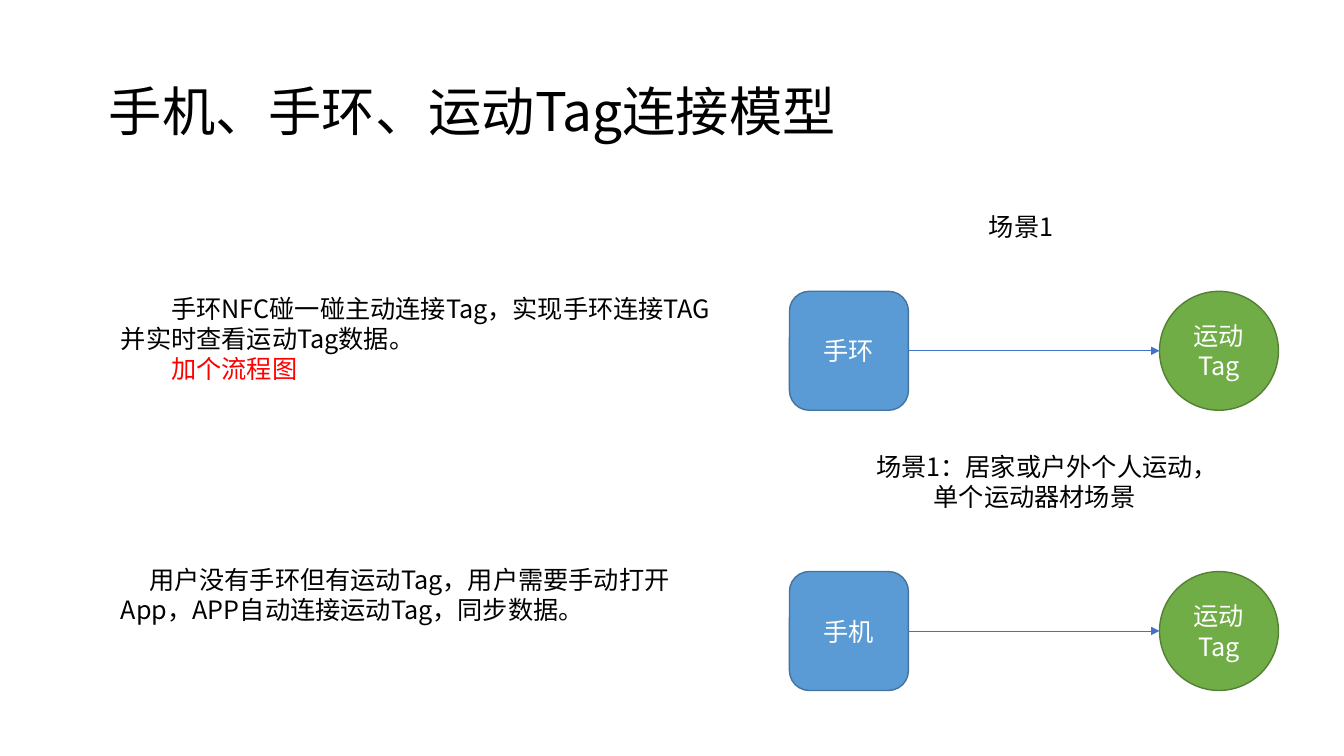
from lxml import etree
from pptx import Presentation, util as u
from pptx.dml.color import RGBColor
from pptx.enum import shapes, text
from pptx.oxml.ns import qn

WIDE, HIGH = 13.33, 7.5
FONT = "Noto Sans CJK SC"
BLACK = RGBColor(0x00, 0x00, 0x00)
WHITE = RGBColor(0xFF, 0xFF, 0xFF)
RED = RGBColor(0xFF, 0x00, 0x00)
BLUE = RGBColor(0x5B, 0x9B, 0xD5)
NAVY = RGBColor(0x43, 0x73, 0x9E)
GREEN = RGBColor(0x70, 0xAD, 0x47)
MOSS = RGBColor(0x53, 0x80, 0x35)
ARROW = RGBColor(0x44, 0x72, 0xC4)

# Grid: text column, device column, tag column; one row per link
LEFT, DEVICE, TAG = 1.1, 7.83, 11.5
ROWS = 2.89, 5.67
NODE = 1.18
BODY = 6.18


def style(para, size, color, align=text.PP_ALIGN.LEFT):
    para.alignment = align
    for run in para.runs:
        run.font.size = u.Pt(size)
        run.font.name = FONT
        run.font.color.rgb = color
        # East Asian glyphs take their own typeface
        asian = etree.SubElement(run.font._element, qn("a:ea"))
        asian.set("typeface", FONT)


def add_title(slide, words):
    title = slide.shapes.title
    title.left, title.top = u.Inches(0.98), u.Inches(0.41)
    title.width, title.height = u.Inches(11.5), u.Inches(1.45)
    frame = title.text_frame
    frame.text = words
    frame.auto_size = text.MSO_AUTO_SIZE.NONE
    frame.vertical_anchor = text.MSO_ANCHOR.MIDDLE
    frame.paragraphs[0].line_spacing = 0.9
    style(frame.paragraphs[0], 38, BLACK)


def add_note(slide, left, top, width, height, lines,
             align=text.PP_ALIGN.LEFT, indent=0):
    box = slide.shapes.add_textbox(*map(u.Inches, (left, top, width, height)))
    frame = box.text_frame
    frame.word_wrap = True
    frame.text = "\n".join(words for words, _ in lines)
    for para, (_, color) in zip(frame.paragraphs, lines):
        style(para, 18, color, align)
        if indent:
            props = para._p.get_or_add_pPr()
            props.set("marL", "0")
            props.set("indent", str(u.Inches(indent)))


def add_node(slide, kind, left, top, words, fill, edge):
    node = slide.shapes.add_shape(
        kind, *map(u.Inches, (left, top, NODE, NODE)))
    node.shadow.inherit = False
    node.fill.solid()
    node.fill.fore_color.rgb = fill
    node.line.color.rgb = edge
    node.line.width = u.Pt(1)
    frame = node.text_frame
    frame.text = words
    frame.word_wrap = True
    frame.vertical_anchor = text.MSO_ANCHOR.MIDDLE
    style(frame.paragraphs[0], 18, WHITE, text.PP_ALIGN.CENTER)
    return node


def add_arrow(slide, start, top):
    mid = u.Inches(top + NODE / 2)
    link = slide.shapes.add_connector(
        shapes.MSO_CONNECTOR.STRAIGHT,
        u.Inches(DEVICE + NODE), mid, u.Inches(TAG), mid)
    link.begin_connect(start, 3)
    link.line.color.rgb = ARROW
    link.line.width = u.Pt(0.5)
    etree.SubElement(link.line._get_or_add_ln(),
                     qn("a:tailEnd")).set("type", "triangle")
    etree.SubElement(link._element.spPr, qn("a:effectLst"))


def add_link(slide, top, device):
    add_node(slide, shapes.MSO_SHAPE.OVAL, TAG, top, "运动Tag", GREEN, MOSS)
    start = add_node(slide, shapes.MSO_SHAPE.ROUNDED_RECTANGLE,
                     DEVICE, top, device, BLUE, NAVY)
    add_arrow(slide, start, top)


def main():
    deck = Presentation()
    deck.slide_width, deck.slide_height = u.Inches(WIDE), u.Inches(HIGH)
    slide = deck.slides.add_slide(deck.slide_layouts[5])
    add_title(slide, "手机、手环、运动Tag连接模型")

    # Links from device to tag
    for top, device in zip(ROWS, ("手环", "手机")):
        add_link(slide, top, device)

    # Scene labels
    add_note(slide, 9.71, 2.05, 0.85, 0.4, [("场景1", BLACK)])
    add_note(slide, 8.51, 4.43, 3.5, 0.71,
             [("场景1：居家或户外个人运动，单个运动器材场景", BLACK)],
             align=text.PP_ALIGN.CENTER)

    # Explanations beside each link
    add_note(slide, LEFT, 2.86, BODY, 1.01,
             [("手环NFC碰一碰主动连接Tag，实现手环连接TAG并实时查看运动Tag数据。", BLACK),
              ("加个流程图", RED)], indent=0.5)
    add_note(slide, LEFT, 5.55, BODY, 0.71,
             [("用户没有手环但有运动Tag，用户需要手动打开App，APP自动连接运动Tag，同步数据。",
               BLACK)], indent=0.28)

    deck.save("out.pptx")


if __name__ == "__main__":
    main()
